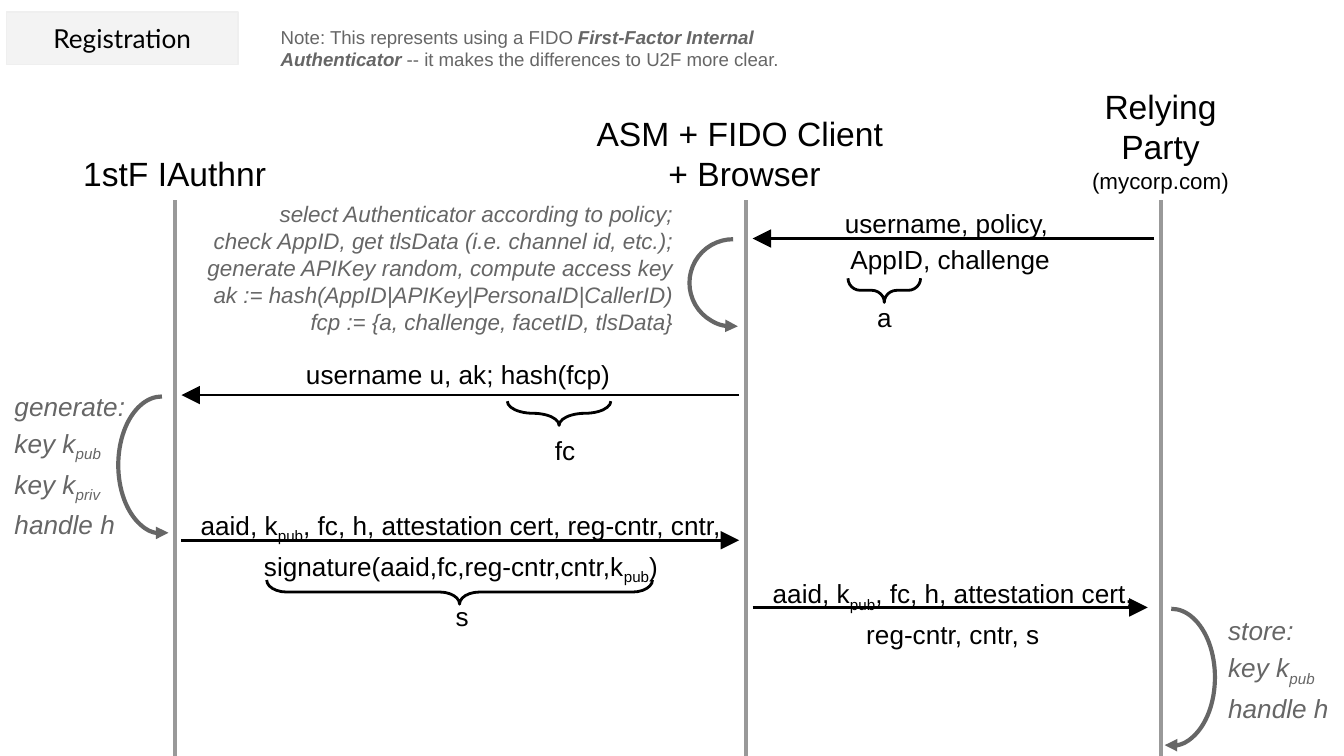
"""Draw the registration sequence between authenticator, client and relying party."""
from copy import deepcopy
from dataclasses import dataclass, field

from lxml import etree
from pptx import Presentation
from pptx.dml.color import RGBColor
from pptx.enum.shapes import MSO_CONNECTOR, MSO_SHAPE
from pptx.enum.text import MSO_ANCHOR, MSO_AUTO_SIZE, PP_ALIGN
from pptx.oxml.ns import qn
from pptx.util import Inches, Pt

LEFT, MID, RIGHT = PP_ALIGN.LEFT, PP_ALIGN.CENTER, PP_ALIGN.RIGHT
TOP, MIDDLE, BASE = MSO_ANCHOR.TOP, MSO_ANCHOR.MIDDLE, MSO_ANCHOR.BOTTOM
FIXED = MSO_AUTO_SIZE.NONE
STRAIGHT = MSO_CONNECTOR.STRAIGHT
ARC, BRACE = MSO_SHAPE.ARC, MSO_SHAPE.LEFT_BRACE

COLS, ROWS = 100, 56.25
CELL = Inches(0.1)
BLACK, GRAY, LANE = "000000", "666666", "999999"
AUTH, CLIENT, PARTY = 13, 55.5, 86.4
GAP = 0.5
SUB = {"baseline": "-25000"}
STRONG = {"b": "1", "i": "1"}
SMALL = {"sz": "1200"}


@dataclass
class Label:
    """Text in a box; parts between tildes take the mark's run attributes."""
    text: str
    box: tuple[float, float, float, float]
    size: float = 14
    align: PP_ALIGN = MID
    anchor: MSO_ANCHOR = TOP
    color: str = BLACK
    italic: bool = False
    space: float = 1
    mark: dict[str, str] = field(default_factory=lambda: SUB)


@dataclass
class Arrow:
    """A message sent along one row."""
    start: float
    end: float
    row: float


@dataclass
class Loop:
    """A curved arrow for a step within one lane."""
    box: tuple[float, float, float, float]
    angle: float
    flip: bool = False


@dataclass
class Brace:
    """A brace below a text, given by its centre and span."""
    col: float
    row: float
    span: float
    curve: float


def rgb(code: str) -> RGBColor:
    """Turn a hex string into a colour."""
    return RGBColor.from_string(code)


def grid(*cells: float) -> list[int]:
    """Turn grid cells into lengths."""
    return [round(cell * CELL) for cell in cells]


def stroke(item, color: str, width: float, tip: str = "", size: str = "med") -> None:
    """Style a line and add an arrowhead at the named end."""
    item.line.color.rgb = rgb(color)
    item.line.width = Pt(width)
    if tip:
        line = item.line._get_or_add_ln()
        etree.SubElement(line, qn(f"a:{tip}"), type="triangle", w=size, len=size)


def draw_line(shapes, ends: tuple, color: str, width: float, tip: str = "") -> None:
    """Draw a straight line without a shadow."""
    line = shapes.add_connector(STRAIGHT, *grid(*ends))
    stroke(line, color, width, tip, "lg")
    etree.SubElement(line._element.spPr, qn("a:effectLst"))


def draw_loop(shapes, loop: Loop) -> None:
    """Draw a curved arrow."""
    arc = shapes.add_shape(ARC, *grid(*loop.box))
    arc.adjustments[0], arc.adjustments[1] = loop.angle, 162
    arc.fill.background()
    arc.shadow.inherit = False
    stroke(arc, GRAY, 2.25, "headEnd")
    if loop.flip:
        arc._element.spPr.find(qn("a:xfrm")).set("flipH", "1")


def draw_brace(shapes, brace: Brace) -> None:
    """Draw a brace that opens upward."""
    depth = 1.8
    left, top = brace.col - depth / 2, brace.row - brace.span / 2
    shape = shapes.add_shape(BRACE, *grid(left, top, depth, brace.span))
    shape.rotation = 270
    shape.adjustments[0], shape.adjustments[1] = brace.curve, 0.5
    shape.fill.background()
    shape.shadow.inherit = False
    stroke(shape, BLACK, 1.5)


def set_frame(frame, anchor: MSO_ANCHOR) -> None:
    """Set wrap, margins and anchor."""
    frame.word_wrap = True
    frame.auto_size = FIXED
    frame.vertical_anchor = anchor
    frame.margin_left = frame.margin_right = CELL
    frame.margin_top = frame.margin_bottom = CELL


def fill_para(para, text: str, label: Label) -> None:
    """Write one paragraph with its marked runs and line breaks."""
    para.alignment = label.align
    para.line_spacing = label.space
    for index, part in enumerate(text.split("~")):
        for turn, piece in enumerate(part.split("\v")):
            if turn:
                para.add_line_break()
            if not piece:
                continue
            run = para.add_run()
            run.text = piece
            run.font.size, run.font.name = Pt(label.size), "Arial"
            run.font.color.rgb = rgb(label.color)
            run.font.italic = label.italic
            if index % 2:
                for key, value in label.mark.items():
                    run.font._element.set(key, value)
    for gap in para._p.findall(qn("a:br")):
        gap.append(deepcopy(para.runs[0].font._element))


def draw_label(shapes, label: Label) -> None:
    """Draw a text box."""
    frame = shapes.add_textbox(*grid(*label.box)).text_frame
    set_frame(frame, label.anchor)
    for index, text in enumerate(label.text.split("\n")):
        para = frame.add_paragraph() if index else frame.paragraphs[0]
        fill_para(para, text, label)


def draw_title(title) -> None:
    """Place and style the slide title."""
    title.left, title.top, title.width, title.height = grid(0.5, 0.9, 17.2, 3.9)
    title.fill.solid()
    title.fill.fore_color.rgb = rgb("F3F3F3")
    stroke(title, "EFEFEF", 0.75)
    set_frame(title.text_frame, MIDDLE)
    title.text_frame.text = "Registration"
    para = title.text_frame.paragraphs[0]
    para.alignment = MID
    font = para.runs[0].font
    font.size, font.name = Pt(14), "Lato"
    font.color.rgb = rgb(BLACK)


ARROWS = [
    Arrow(PARTY - GAP, CLIENT + GAP, 17.75),
    Arrow(CLIENT - GAP, AUTH + GAP, 29.4),
    Arrow(AUTH + GAP, CLIENT - GAP, 40.2),
    Arrow(CLIENT + GAP, PARTY - 2 * GAP, 45.2),
]
LOOPS = [
    Loop((51.3, 17.8, 6.5, 6.5), 50.3),
    Loop((8.8, 29.5, 6.5, 10.2), 50.69),
    Loop((83.9, 45.3, 6.5, 10.2), 50.69, True),
]
BRACES = [
    Brace(65.8, 21.6, 5.4, 0.51),
    Brace(41.6, 30.75, 7.7, 1.24),
    Brace(34.2, 44.05, 28.7, 0.82),
]
POLICY = (
    "select Authenticator according to policy;\n"
    "check AppID, get tlsData (i.e. channel id, etc.);\n"
    "generate APIKey random, compute access key\v"
    "ak := hash(AppID|APIKey|PersonaID|CallerID)\n"
    "fcp := {a, challenge, facetID, tlsData}"
)
NOTE = (
    "Note: This represents using a FIDO ~First-Factor Internal Authenticator ~"
    "-- it makes the differences to U2F more clear."
)
SIGNED = (
    "aaid, k~pub~, fc, h, attestation cert, reg-cntr, cntr,\n"
    "signature(aaid,fc,reg-cntr,cntr,k~pub~)"
)
LABELS = [
    Label("1stF IAuthnr", (1.1, 10.4, 23.8, 5), 18, anchor=BASE),
    Label("ASM + FIDO Client \v+ Browser", (43.2, 5.2, 24.4, 10.2), 18, anchor=BASE),
    Label("Relying Party\v~(mycorp.com)~", (78.6, 5.2, 15.5, 10.2), 18,
          anchor=BASE, mark=SMALL),
    Label(NOTE, (19.9, 0.9, 39.2, 5), 10, LEFT, color=GRAY, mark=STRONG),
    Label(POLICY, (14.4, 13.9, 36.7, 11.1), 12, RIGHT, color=GRAY, italic=True),
    Label("username, policy, \vAppID, challenge", (55.3, 14.1, 30.8, 3.7), space=1.15),
    Label("a", (63.9, 21.4, 3.8, 3.7)),
    Label("username u, ak; hash(fcp)", (13.3, 25.7, 41.6, 3.7)),
    Label("fc", (32.9, 31.3, 18.3, 3.7)),
    Label("generate:\vkey k~pub~\vkey k~priv~\vhandle h", (0.1, 27.7, 11, 13.5),
          align=LEFT, color=GRAY, italic=True, space=1.15),
    Label(SIGNED, (13.5, 36.5, 41.6, 6.7), space=1.15),
    Label("s", (27.4, 43.7, 14, 3.7)),
    Label("aaid, k~pub~, fc, h, attestation cert, reg-cntr, cntr, s",
          (55.5, 41.6, 30.8, 7.2), space=1.15),
    Label("store:\vkey k~pub~\vhandle h", (90.4, 44.4, 9.6, 11.9),
          align=LEFT, color=GRAY, italic=True, space=1.15),
]


def main() -> None:
    """Build and save the slide."""
    deck = Presentation()
    deck.slide_width, deck.slide_height = grid(COLS, ROWS)
    slide = deck.slides.add_slide(deck.slide_layouts[5])
    shapes = slide.shapes
    draw_title(shapes.title)
    for lane in (AUTH, CLIENT, PARTY):
        draw_line(shapes, (lane, 14.9, lane, ROWS), LANE, 2.25)
    for arrow in ARROWS:
        ends = (arrow.start, arrow.row, arrow.end, arrow.row)
        draw_line(shapes, ends, BLACK, 1.5, "tailEnd")
    for draw, items in (
        (draw_loop, LOOPS), (draw_brace, BRACES), (draw_label, LABELS),
    ):
        for item in items:
            draw(shapes, item)
    deck.save("out.pptx")


main()
